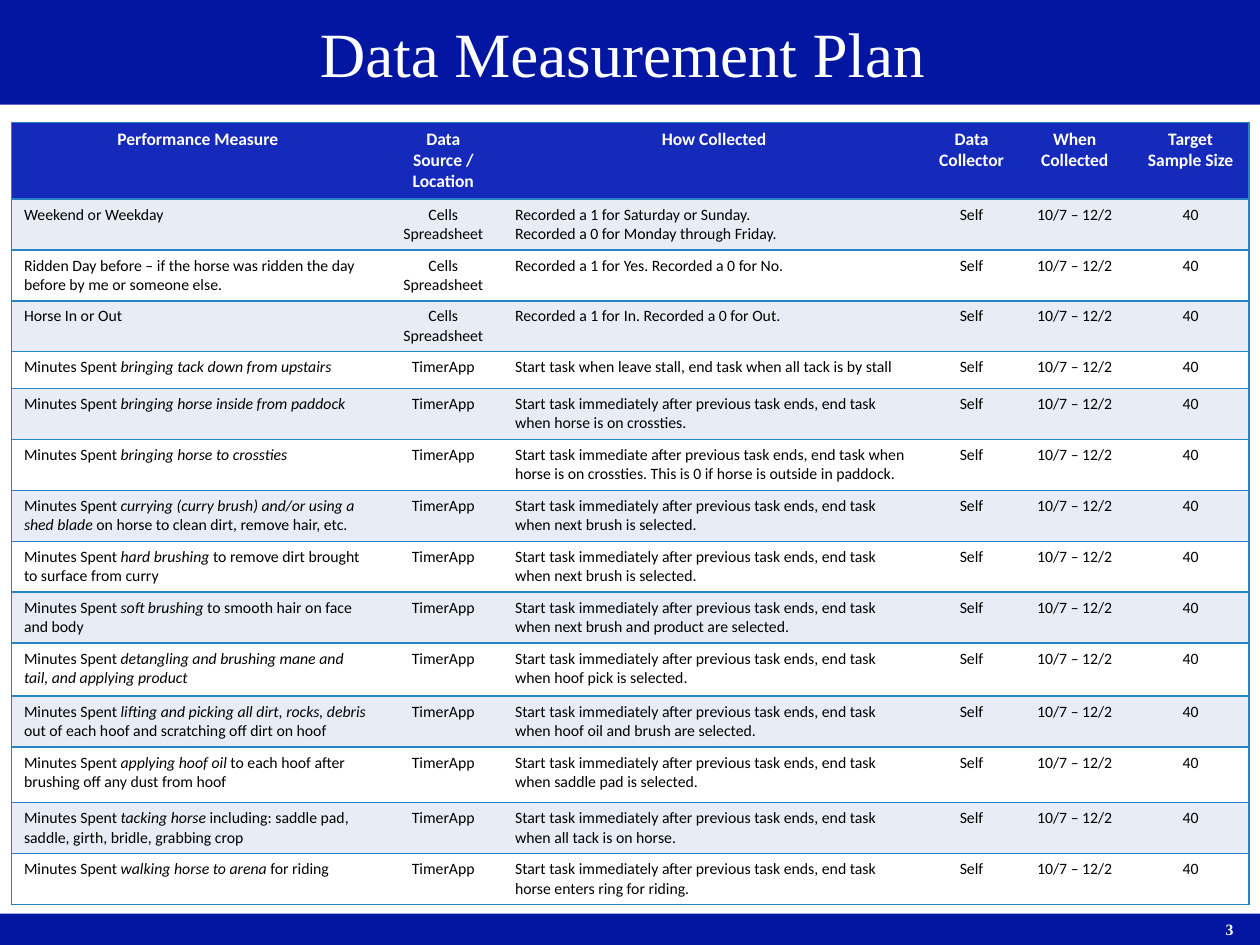
from dataclasses import dataclass

from lxml.etree import SubElement
from pptx import Presentation
from pptx.dml.color import RGBColor
from pptx.enum.shapes import MSO_SHAPE
from pptx.enum.text import MSO_ANCHOR, MSO_AUTO_SIZE, PP_ALIGN
from pptx.oxml.ns import qn
from pptx.util import Cm, Pt

NAVY = RGBColor(0x03, 0x16, 0xA1)
HEADER_BLUE = RGBColor(0x15, 0x29, 0xBB)
RULE_BLUE = RGBColor(0x26, 0x83, 0xC6)
BAND = RGBColor(0xE8, 0xED, 0xF5)
WHITE = RGBColor(0xFF, 0xFF, 0xFF)
BLACK = RGBColor(0, 0, 0)

PAGE_WIDTH = 25.4
HEADER_HEIGHT = 1.22
HEADERS = ["Performance Measure", "Data Source / Location", "How Collected",
           "Data Collector", "When Collected", "Target Sample Size"]
COLUMN_WIDTHS = [7.51, 2.39, 8.53, 1.85, 2.31, 2.36]
LEFT_ALIGNED = (0, 2)
SHEET = "Cells Spreadsheet"
TRACKER = "TimerApp"
SPENT = "Minutes Spent "
AFTER = "Start task immediately after previous task ends, end task "


@dataclass
class Measure:
    """A table row; the action is the italic part of its name."""
    lead: str
    how: str
    action: str = ""
    tail: str = ""
    source: str = TRACKER
    height: float = 1.02


MEASURES = [
    Measure("Weekend or Weekday",
            "Recorded a 1 for Saturday or Sunday.\nRecorded a 0 for Monday through Friday.",
            source=SHEET, height=0.74),
    Measure("Ridden Day before – if the horse was ridden the day before by me or someone else.",
            "Recorded a 1 for Yes. Recorded a 0 for No.", source=SHEET, height=0.74),
    Measure("Horse In or Out", "Recorded a 1 for In. Recorded a 0 for Out.",
            source=SHEET, height=0.74),
    Measure(SPENT, "Start task when leave stall, end task when all tack is by stall",
            "bringing tack down from upstairs", height=0.74),
    Measure(SPENT, AFTER + "when horse is on crossties.",
            "bringing horse inside from paddock"),
    Measure(SPENT, "Start task immediate after previous task ends, end task when horse is on "
            "crossties. This is 0 if horse is outside in paddock.",
            "bringing horse to crossties"),
    Measure(SPENT, AFTER + "when next brush is selected.",
            "currying (curry brush) and/or using a shed blade",
            " on horse to clean dirt, remove hair, etc."),
    Measure(SPENT, AFTER + "when next brush is selected.",
            "hard brushing", " to remove dirt brought to surface from curry"),
    Measure(SPENT, AFTER + "when next brush and product are selected.",
            "soft brushing", " to smooth hair on face and body"),
    Measure(SPENT, AFTER + "when hoof pick is selected.",
            "detangling and brushing mane and tail, and applying product", height=1.07),
    Measure(SPENT, AFTER + "when hoof oil and brush are selected.",
            "lifting and picking all dirt, rocks, debris ",
            "out of each hoof and scratching off dirt on hoof"),
    Measure(SPENT, AFTER + "when saddle pad is selected.",
            "applying hoof oil", " to each hoof after brushing off any dust from hoof",
            height=1.12),
    Measure(SPENT, AFTER + "when all tack is on horse.",
            "tacking horse ", "including: saddle pad, saddle, girth, bridle, grabbing crop"),
    Measure(SPENT, AFTER + "horse enters ring for riding.",
            "walking horse to arena", " for riding"),
]


def style_paragraph(para, font_name: str, size: float, color: RGBColor,
                    bold: bool = False, align=PP_ALIGN.LEFT) -> None:
    para.alignment = align
    font = para.font
    font.name, font.size, font.bold = font_name, Pt(size), bold
    font.color.rgb = color


def add_bar(page, top: float, height: float) -> None:
    bar = page.shapes.add_shape(MSO_SHAPE.RECTANGLE, 0, Cm(top), Cm(PAGE_WIDTH), Cm(height))
    bar.shadow.inherit = False
    bar.fill.solid()
    bar.fill.fore_color.rgb = NAVY
    bar.line.fill.background()


def add_title(page, text: str) -> None:
    title = page.shapes.title
    title.left, title.top, title.width, title.height = Cm(0.79), Cm(0), Cm(23.52), Cm(2.11)
    title.element.getparent().append(title.element)  # in front of the bars
    frame = title.text_frame
    frame.text = text
    frame.auto_size = MSO_AUTO_SIZE.NONE
    frame.vertical_anchor = MSO_ANCHOR.MIDDLE
    style_paragraph(frame.paragraphs[0], "Times New Roman", 36, WHITE, align=PP_ALIGN.CENTER)


def add_page_number(page, number: str) -> None:
    box = page.shapes.add_textbox(Cm(24.46), Cm(18.42), Cm(0.94), Cm(0.63))
    box.text_frame.word_wrap = True
    box.text_frame.text = number
    style_paragraph(box.text_frame.paragraphs[0], "Times New Roman", 9, WHITE, bold=True)


def set_borders(cell, column: int) -> None:
    """Rule the top and bottom, and only the outer sides of the table."""
    visible = {"lnL": column == 0, "lnR": column == len(HEADERS) - 1,
               "lnT": True, "lnB": True}
    properties = cell._tc.get_or_add_tcPr()
    for tag, shown in visible.items():
        line = SubElement(properties, qn(f"a:{tag}"), w=str(Pt(1)))
        if shown:
            fill = SubElement(line, qn("a:solidFill"))
            SubElement(fill, qn("a:srgbClr"), val=str(RULE_BLUE))
        else:
            SubElement(line, qn("a:noFill"))


def format_cell(cell, column: int, fill: RGBColor, header: bool) -> None:
    set_borders(cell, column)
    cell.fill.solid()
    cell.fill.fore_color.rgb = fill
    left = column in LEFT_ALIGNED and not header
    for para in cell.text_frame.paragraphs:
        style_paragraph(para, "Calibri", 10 if header else 9, WHITE if header else BLACK,
                        header, PP_ALIGN.LEFT if left else PP_ALIGN.CENTER)


def write_measure_name(cell, measure: Measure) -> None:
    para = cell.text_frame.paragraphs[0]
    for text in (measure.lead, measure.action, measure.tail):
        if text:
            span = para.add_run()
            span.text = text
            span.font.italic = text == measure.action


def add_measure_table(page) -> None:
    heights = [HEADER_HEIGHT] + [measure.height for measure in MEASURES]
    table = page.shapes.add_table(len(heights), len(HEADERS), Cm(0.23), Cm(2.47),
                                  Cm(sum(COLUMN_WIDTHS)), Cm(sum(heights))).table
    for column, width in zip(table.columns, COLUMN_WIDTHS):
        column.width = Cm(width)
    for row, height in zip(table.rows, heights):
        row.height = Cm(height)

    for column, text in enumerate(HEADERS):
        cell = table.cell(0, column)
        cell.text = text
        format_cell(cell, column, HEADER_BLUE, header=True)
    for row, measure in enumerate(MEASURES, start=1):
        write_measure_name(table.cell(row, 0), measure)
        values = [measure.source, measure.how, "Self", "10/7 – 12/2", "40"]
        for column, text in enumerate(values, start=1):
            table.cell(row, column).text = text
        for column in range(len(HEADERS)):
            format_cell(table.cell(row, column), column, BAND if row % 2 else WHITE, header=False)


def main() -> None:
    deck = Presentation()
    deck.slide_width, deck.slide_height = Cm(PAGE_WIDTH), Cm(19.05)
    page = deck.slides.add_slide(deck.slide_layouts[5])
    add_bar(page, top=18.42, height=0.63)
    add_bar(page, top=0, height=2.11)
    add_page_number(page, "3")
    add_title(page, "Data Measurement Plan")
    add_measure_table(page)
    deck.save("out.pptx")


if __name__ == "__main__":
    main()
